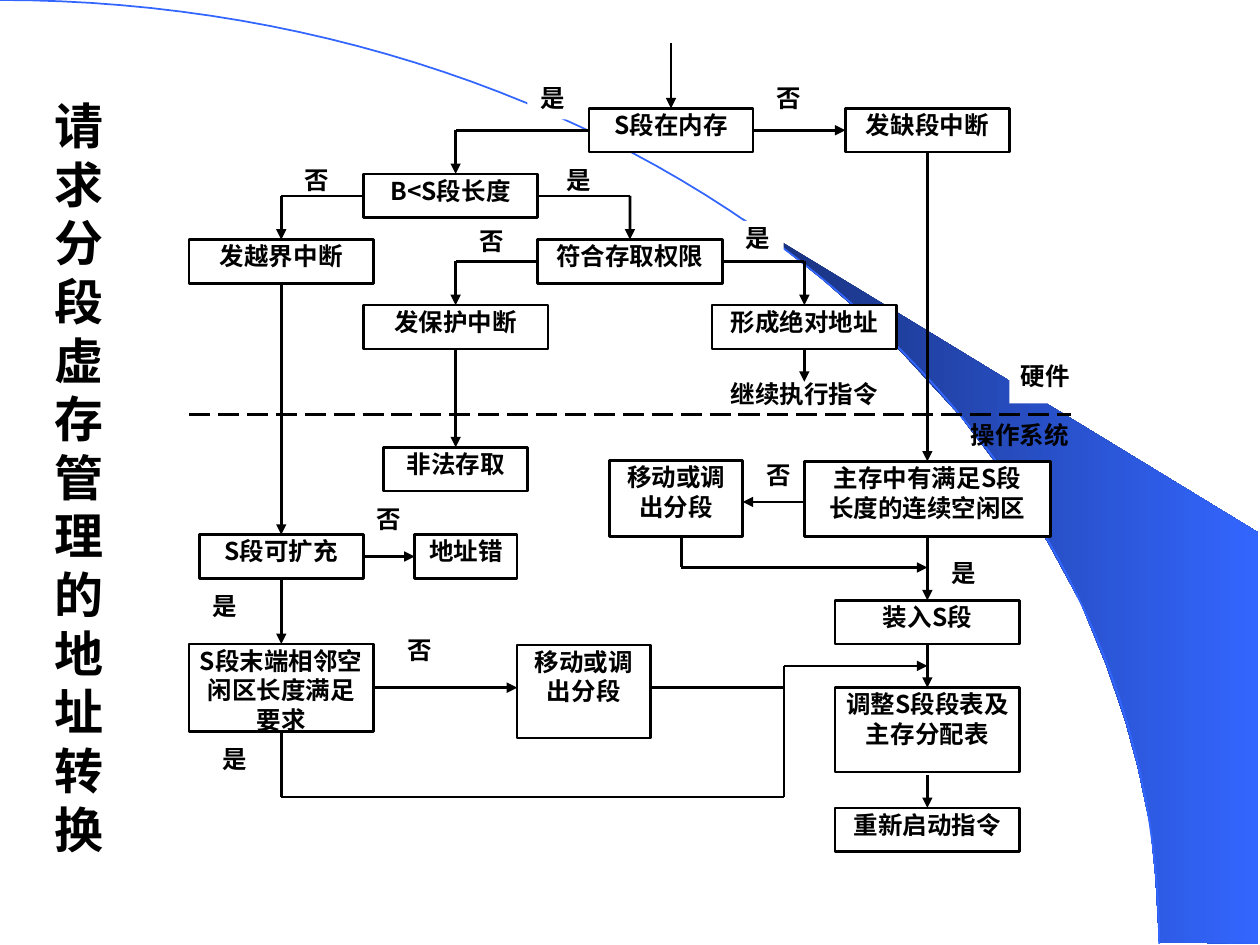
import math
from dataclasses import dataclass

import pptx
import pptx.dml.color
import pptx.enum.dml
import pptx.enum.shapes
import pptx.enum.text
import pptx.oxml.ns
import pptx.util
from lxml import etree

Inches = pptx.util.Inches
Pt = pptx.util.Pt
PP_ALIGN = pptx.enum.text.PP_ALIGN
TOP, LEFT, BOTTOM, RIGHT = range(4)
CHART_LEFT, CHART_TOP = 1.5, 0.34
COLUMN, ROW = 7 / 86, 0.1735


def rgb(value):
    return pptx.dml.color.RGBColor.from_string(value)


@dataclass(frozen=True)
class Theme:
    font: str = "Noto Sans CJK JP"
    ink = rgb("000000")
    paper = rgb("FFFFFF")
    accent = rgb("3366FF")
    accent_dark = rgb("182F76")
    title_size = Pt(28)
    title_pitch = Pt(33.5)
    step_size = Pt(14)
    step_pitch = Pt(17)
    rule = Pt(1.5)
    arc_rule = Pt(1)


THEME = Theme()

WEDGE = [(9.2, 7.48), (9.99, 7.49), (9.99, 4.23), (5.89, 1.73), (6.24, 1.99),
         (6.53, 2.22), (6.85, 2.5), (7.16, 2.8), (7.62, 3.3), (8.03, 3.84),
         (8.32, 4.31), (8.58, 4.79), (8.78, 5.28), (8.93, 5.72),
         (9.03, 6.09), (9.13, 6.56), (9.17, 6.96)]

STEPS = {
    "in_memory": (39, 3, 16, 2, "S段在内存"),
    "missing": (64, 3, 16, 2, "发缺段中断"),
    "length": (17, 6, 17, 2, "B<S段长度"),
    "overflow": (0, 9, 18, 2, "发越界中断"),
    "rights": (34, 9, 18, 2, "符合存取权限"),
    "protection": (17, 12, 18, 2, "发保护中断"),
    "absolute": (51, 12, 18, 2, "形成绝对地址"),
    "illegal": (19, 18.5, 14, 2, "非法存取"),
    "free_area": (60, 19.15, 24, 3.45, "主存中有满足S段\n长度的连续空闲区"),
    "move_for_load": (41, 19.1, 13, 3.5, "移动或调\n出分段"),
    "extendable": (1, 22.5, 16, 2, "S段可扩充"),
    "bad_address": (22, 22.5, 10, 2, "地址错"),
    "adjacent": (0, 27.5, 18, 4, "S段末端相邻空\n闲区长度满足\n要求"),
    "move_for_growth": (32, 27.55, 13, 4.25, "移动或调\n出分段"),
    "load": (63, 25.5, 18, 2, "装入S段"),
    "tables": (63, 29.5, 18, 3.85, "调整S段段表及主存分配表"),
    "restart": (63, 35, 18, 2, "重新启动指令"),
}

LABELS = [
    (33, 1.75, 5, 1.75, "是"), (56, 1.75, 5, 1.75, "否"),
    (9, 5.5, 7, 1.5, "否"), (36, 5.5, 4, 1.35, "是"),
    (27, 8.3, 5, 1.5, "否"), (53, 8.15, 5, 1.5, "是"),
    (51, 15.3, 18, 1.7, "继续执行指令"), (80, 14.5, 7, 2, "硬件"),
    (56, 19, 3, 1.5, "否"), (18, 21, 3, 2, "否"),
    (73, 23.5, 5, 1.5, "是"), (1, 25, 5, 2, "是"),
    (21, 27, 3, 2, "否"), (2, 32, 5, 2, "是"),
]

ARROWS = [
    [(47, 0), ("in_memory", TOP)],
    [("in_memory", RIGHT), ("missing", LEFT)],
    [("in_memory", LEFT), (26, 4), (26, 6)],
    [("length", LEFT), (9, 7), ("overflow", TOP)],
    [("length", RIGHT), (43, 7), ("rights", TOP)],
    [("rights", LEFT), (26, 10), ("protection", TOP)],
    [("rights", RIGHT), (60, 10), ("absolute", TOP)],
    [("absolute", BOTTOM), (60, 15.5)],
    [("protection", BOTTOM), ("illegal", TOP)],
    [("overflow", BOTTOM), ("extendable", TOP)],
    [("missing", BOTTOM), ("free_area", TOP)],
    [("extendable", RIGHT), ("bad_address", LEFT)],
    [("extendable", BOTTOM), ("adjacent", TOP)],
    [("adjacent", RIGHT), (32, 29.5)],
    [("adjacent", BOTTOM), (9, 34.5), (61.5 - 3.5, 34.5), (58, 28.5), (72, 28.5)],
    [(60, 21), (54, 21)],
    [(48, 22.5), (48, 24), (72, 24)],
    [("free_area", BOTTOM), ("load", TOP)],
    [("load", BOTTOM), ("tables", TOP)],
    [(72, 33.5), ("restart", TOP)],
]


def place(column, row):
    return Inches(CHART_LEFT + column * COLUMN), Inches(CHART_TOP + row * ROW)


def format_text(frame, size, pitch, align):
    frame.word_wrap = True
    frame.auto_size = pptx.enum.text.MSO_AUTO_SIZE.NONE
    frame.vertical_anchor = pptx.enum.text.MSO_ANCHOR.TOP
    for paragraph in frame.paragraphs:
        paragraph.alignment = align
        paragraph.line_spacing = pitch
        font = paragraph.font
        font.name, font.size, font.bold = THEME.font, size, True
        font.color.rgb = THEME.ink
        defaults = paragraph._p.pPr.find(pptx.oxml.ns.qn("a:defRPr"))
        etree.SubElement(defaults, pptx.oxml.ns.qn("a:ea"), typeface=THEME.font)


def add_panel(slide, column, row, columns, rows, text, filled=True, framed=False):
    panel = slide.shapes.add_shape(
        pptx.enum.shapes.MSO_SHAPE.RECTANGLE, *place(column, row),
        Inches(columns * COLUMN), Inches(rows * ROW))
    panel.shadow.inherit = False
    if filled:
        panel.fill.solid()
        panel.fill.fore_color.rgb = THEME.paper
    else:
        panel.fill.background()
    if framed:
        panel.line.color.rgb = THEME.ink
        panel.line.width = THEME.rule
    else:
        panel.line.fill.background()
    frame = panel.text_frame
    frame.margin_left = frame.margin_right = frame.margin_bottom = 0
    frame.margin_top = Inches(0.01)
    frame.text = text
    format_text(frame, THEME.step_size, THEME.step_pitch, PP_ALIGN.CENTER)
    return panel


def add_line(slide, start, end, steps, head=False, dash=None):
    points = [(0, 0) if p[0] in steps else place(*p) for p in (start, end)]
    line = slide.shapes.add_connector(
        pptx.enum.shapes.MSO_CONNECTOR.STRAIGHT, *points[0], *points[1])
    if start[0] in steps:
        line.begin_connect(steps[start[0]], start[1])
    if end[0] in steps:
        line.end_connect(steps[end[0]], end[1])
    line.line.color.rgb = THEME.ink
    line.line.width = THEME.rule
    if dash:
        line.line.dash_style = dash
    if head:
        etree.SubElement(line.line._get_or_add_ln(),
                         pptx.oxml.ns.qn("a:tailEnd"), type="triangle")
    etree.SubElement(line._element.spPr, pptx.oxml.ns.qn("a:effectLst"))


def add_route(slide, stops, steps, head=True):
    last = len(stops) - 2
    for index, (start, end) in enumerate(zip(stops, stops[1:])):
        add_line(slide, start, end, steps, head and index == last)


def add_outline(slide, points, close):
    corners = [(Inches(x), Inches(y)) for x, y in points]
    builder = slide.shapes.build_freeform(*corners[0])
    builder.add_line_segments(corners[1:], close=close)
    outline = builder.convert_to_shape()
    outline.shadow.inherit = False
    return outline


def add_backdrop(slide):
    wedge = add_outline(slide, WEDGE, True)
    wedge.line.fill.background()
    wedge.fill.gradient()
    wedge.fill.gradient_angle = 0
    for stop, color in zip(wedge.fill.gradient_stops, (THEME.accent_dark, THEME.accent)):
        stop.color.rgb = color
    angles = [math.pi / 2 * step / 60 for step in range(61)]
    arc = add_outline(slide, [(9.2 * math.sin(a), 7.49 * (1 - math.cos(a)))
                              for a in angles], False)
    arc.fill.background()
    arc.line.color.rgb = THEME.accent
    arc.line.width = THEME.arc_rule


def add_title(slide, text):
    title = slide.shapes.title
    title.left, title.top = Inches(0.33), Inches(0.71)
    title.width, title.height = Inches(0.83), Inches(6.17)
    title.text_frame.text = text
    format_text(title.text_frame, THEME.title_size, THEME.title_pitch, PP_ALIGN.LEFT)


def main():
    deck = pptx.Presentation()
    deck.slide_width, deck.slide_height = Inches(10), Inches(7.5)
    slide = deck.slides.add_slide(deck.slide_layouts[5])
    add_backdrop(slide)
    add_title(slide, "请求分段虚存管理的地址转换")
    for label in LABELS:
        add_panel(slide, *label)
    add_panel(slide, 75, 17.2, 12, 2, "操作系统", filled=False)
    steps = {key: add_panel(slide, *step, framed=True) for key, step in STEPS.items()}
    for stops in ARROWS:
        add_route(slide, stops, steps)
    add_route(slide, [(45, 29.5), (58, 29.5)], steps, head=False)
    add_line(slide, (0, 17), (86, 17), steps, dash=pptx.enum.dml.MSO_LINE.LONG_DASH)
    deck.save("out.pptx")


if __name__ == "__main__":
    main()
